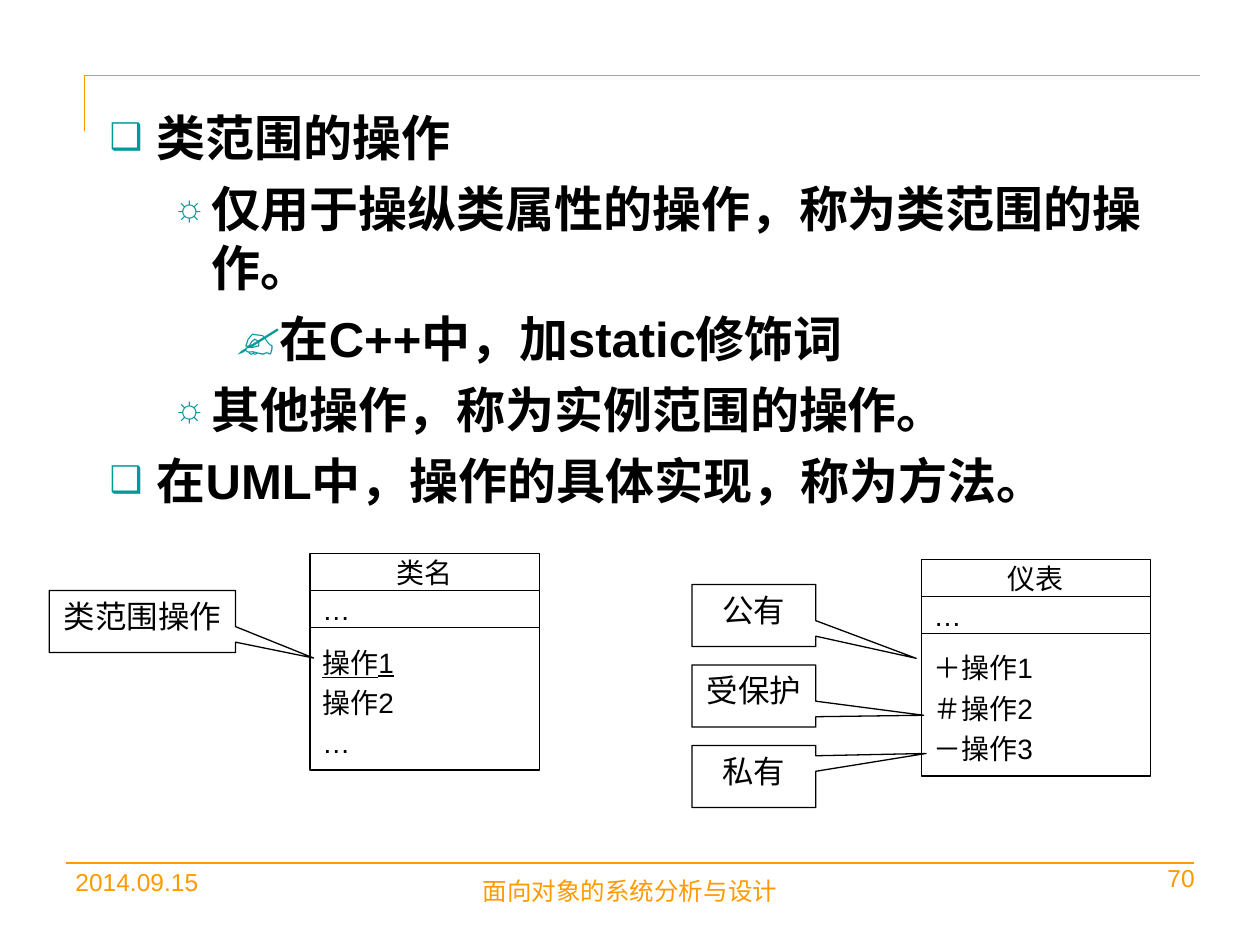
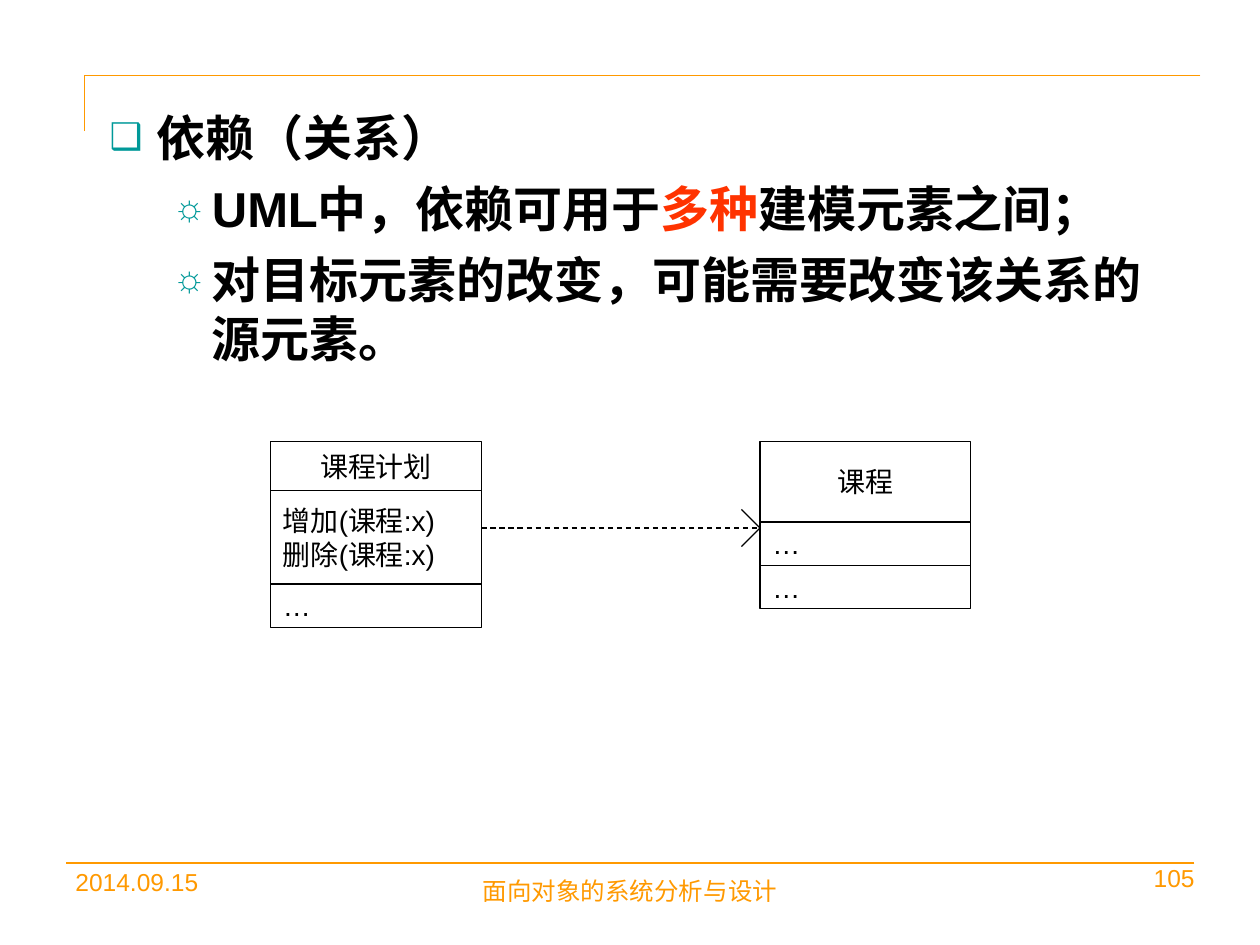
from lxml.etree import SubElement
from pptx import Presentation
from pptx.dml.color import RGBColor
from pptx.enum.dml import MSO_LINE_DASH_STYLE as Dash
from pptx.enum.shapes import MSO_CONNECTOR, MSO_SHAPE
from pptx.enum.text import MSO_ANCHOR as Anchor, MSO_AUTO_SIZE, PP_ALIGN as Align
from pptx.oxml.ns import qn
from pptx.util import Pt

FONT = "Arial"
BLACK, ORANGE, TEAL, RED = "000000", "FF9900", "009999", "FF3300"
FOOTER_DATE, FOOTER_TITLE = "2014.09.15", "面向对象的系统分析与设计"
BULLETS = [("❑", 75, 27, 27), ("☼", 75, 58.5, 22.5), ("✍", 100, 90, 18)]


def color(value):
    """Turn a hex string into a colour."""
    return RGBColor.from_string(value)


def add_run(paragraph, text, size, ink=BLACK, bold=False, underline=False):
    """Add one formatted run to a paragraph."""
    run = paragraph.add_run()
    run.text = text
    font = run.font
    font.name, font.size, font.bold, font.underline = FONT, Pt(size), bold, underline
    font.color.rgb = color(ink)


def next_paragraph(frame, index):
    """Return the first paragraph of a frame, or a new one after it."""
    return frame.add_paragraph() if index else frame.paragraphs[0]


def add_line(slide, start, end, ink=BLACK, dash=None):
    """Draw a thin straight line between two points."""
    line = slide.shapes.add_connector(
        MSO_CONNECTOR.STRAIGHT, *(Pt(value) for value in (*start, *end)))
    line.line.color.rgb = color(ink)
    line.line.width = Pt(0.75)
    if dash:
        line.line.dash_style = dash
    SubElement(line._element.spPr, qn("a:effectLst"))


def add_label(slide, box, text, align):
    """Write one orange footer text."""
    frame = slide.shapes.add_textbox(*(Pt(value) for value in box)).text_frame
    frame.word_wrap = True
    frame.paragraphs[0].alignment = align
    add_run(frame.paragraphs[0], text, 14, ORANGE)


def add_frame(slide, number):
    """Draw the corner rule, the footer rule and the footer texts."""
    add_line(slide, (686, 43.2), (48.2, 43.2), ORANGE)
    add_line(slide, (48.2, 74.9), (48.2, 43.2), ORANGE)
    add_line(slide, (682.5, 493.2), (37.5, 493.2), ORANGE)
    add_label(slide, (629.3, 489.6, 60.5, 24.5), number, Align.RIGHT)
    add_label(slide, (36, 491.8, 168, 37.4), FOOTER_DATE, Align.LEFT)
    add_label(slide, (246, 496.8, 228, 32.4), FOOTER_TITLE, Align.CENTER)


def add_bullet(paragraph, level):
    """Give a paragraph the indent and bullet of its level."""
    symbol, percent, margin, hanging = BULLETS[level]
    paragraph.level = level
    properties = paragraph._p.get_or_add_pPr()
    properties.set("marL", str(Pt(margin)))
    properties.set("indent", str(-Pt(hanging)))
    SubElement(SubElement(properties, qn("a:buClr")), qn("a:srgbClr"), val=TEAL)
    SubElement(properties, qn("a:buSzPct"), val=str(percent * 1000))
    SubElement(properties, qn("a:buFont"), typeface=FONT)
    SubElement(properties, qn("a:buChar"), char=symbol)


def add_body(slide, items):
    """Fill the body placeholder with (level, runs) items."""
    body = slide.placeholders[1]
    body.left, body.top, body.width, body.height = Pt(55.4), Pt(57.6), Pt(628.6), Pt(424.8)
    frame = body.text_frame
    frame.auto_size = MSO_AUTO_SIZE.NONE
    frame.vertical_anchor = Anchor.TOP
    for index, (level, runs) in enumerate(items):
        paragraph = next_paragraph(frame, index)
        add_bullet(paragraph, level)
        paragraph.space_before = Pt(7 if index else 0)
        for text, ink in runs:
            add_run(paragraph, text, 28, ink, bold=True)


def add_box(slide, kind, box, anchor):
    """Add an unfilled black outlined shape."""
    shape = slide.shapes.add_shape(kind, *(Pt(value) for value in box))
    shape.shadow.inherit = False
    shape.fill.background()
    shape.line.color.rgb = color(BLACK)
    shape.line.width = Pt(0.75)
    shape.text_frame.word_wrap = True
    shape.text_frame.vertical_anchor = anchor
    return shape


def add_class(slide, left, top, width, compartments, spacing=1.0, underlined=()):
    """Stack the compartments of a UML class, with its name on top."""
    for row, (height, lines) in enumerate(compartments):
        shape = add_box(slide, MSO_SHAPE.RECTANGLE, (left, top, width, height), Anchor.MIDDLE)
        for index, text in enumerate(lines):
            paragraph = next_paragraph(shape.text_frame, index)
            paragraph.alignment = Align.LEFT if row else Align.CENTER
            if len(lines) > 1:
                paragraph.line_spacing = spacing
            add_run(paragraph, text, 16, underline=text in underlined)
        top += height


def add_callout(slide, left, top, width, text, tip):
    """Add a callout whose tip is given relative to its box."""
    shape = add_box(slide, MSO_SHAPE.RECTANGULAR_CALLOUT, (left, top, width, 35.5), Anchor.TOP)
    shape.adjustments[0], shape.adjustments[1] = tip
    paragraph = shape.text_frame.paragraphs[0]
    paragraph.alignment = Align.CENTER
    add_run(paragraph, text, 18)


def add_dependency(slide, start, end, y):
    """Draw a dashed arrow with an open head."""
    add_line(slide, (start, y), (end, y), dash=Dash.DASH)
    for rise in (-10.6, 10.6):
        add_line(slide, (end, y), (end - 10.6, y + rise))


def start_slide(presentation, number, items):
    """Add a slide with the shared frame and a bulleted body."""
    slide = presentation.slides.add_slide(presentation.slide_layouts[1])
    title = slide.shapes.title._element
    title.getparent().remove(title)
    add_frame(slide, number)
    add_body(slide, items)
    return slide


def build_operations(presentation):
    """Build the slide on class-scope operations."""
    slide = start_slide(presentation, "70", [
        (0, [("类范围的操作", BLACK)]),
        (1, [("仅用于操纵类属性的操作，称为类范围的操作。", BLACK)]),
        (2, [("在C++中，加static修饰词", BLACK)]),
        (1, [("其他操作，称为实例范围的操作。", BLACK)]),
        (0, [("在UML中，操作的具体实现，称为方法。", BLACK)]),
    ])
    classes = [
        (177.2, 316.2, "类名", ["操作1", "操作2", "…"], ["操作1"]),
        (526.4, 319.6, "仪表", ["＋操作1", "＃操作2", "－操作3"], []),
    ]
    for left, top, name, operations, underlined in classes:
        rows = [(21.2, [name]), (21.2, ["…"]), (81.4, operations)]
        add_class(slide, left, top, 131, rows, 1.2, underlined)
    add_callout(slide, 28.2, 337.4, 106.4, "类范围操作", (0.92, 0.59))
    visibilities = [("公有", (1.31, 0.69)), ("受保护", (1.37, 0.31)), ("私有", (1.39, -0.37))]
    for index, (text, tip) in enumerate(visibilities):
        add_callout(slide, 395.4, 334 + 46 * index, 70.8, text, tip)


def build_dependency(presentation):
    """Build the slide on the dependency relation."""
    slide = start_slide(presentation, "105", [
        (0, [("依赖（关系）", BLACK)]),
        (1, [("UML中，依赖可用于", BLACK), ("多种", RED), ("建模元素之间；", BLACK)]),
        (1, [("对目标元素的改变，可能需要改变该关系的源元素。", BLACK)]),
    ])
    plan_left, course_left, top, width = 154.6, 434.3, 252.2, 120.5
    add_class(slide, plan_left, top, width, [
        (28.3, ["课程计划"]), (53.2, ["增加(课程:x)", "删除(课程:x)"]), (24.8, ["…"])])
    add_class(slide, course_left, top, width, [
        (46, ["课程"]), (24.8, ["…"]), (24.8, ["…"])])
    add_dependency(slide, plan_left + width, course_left, 301.7)


def main():
    """Build and save the presentation."""
    presentation = Presentation()
    presentation.slide_width, presentation.slide_height = Pt(720), Pt(540)
    build_operations(presentation)
    build_dependency(presentation)
    presentation.save("out.pptx")


if __name__ == "__main__":
    main()
